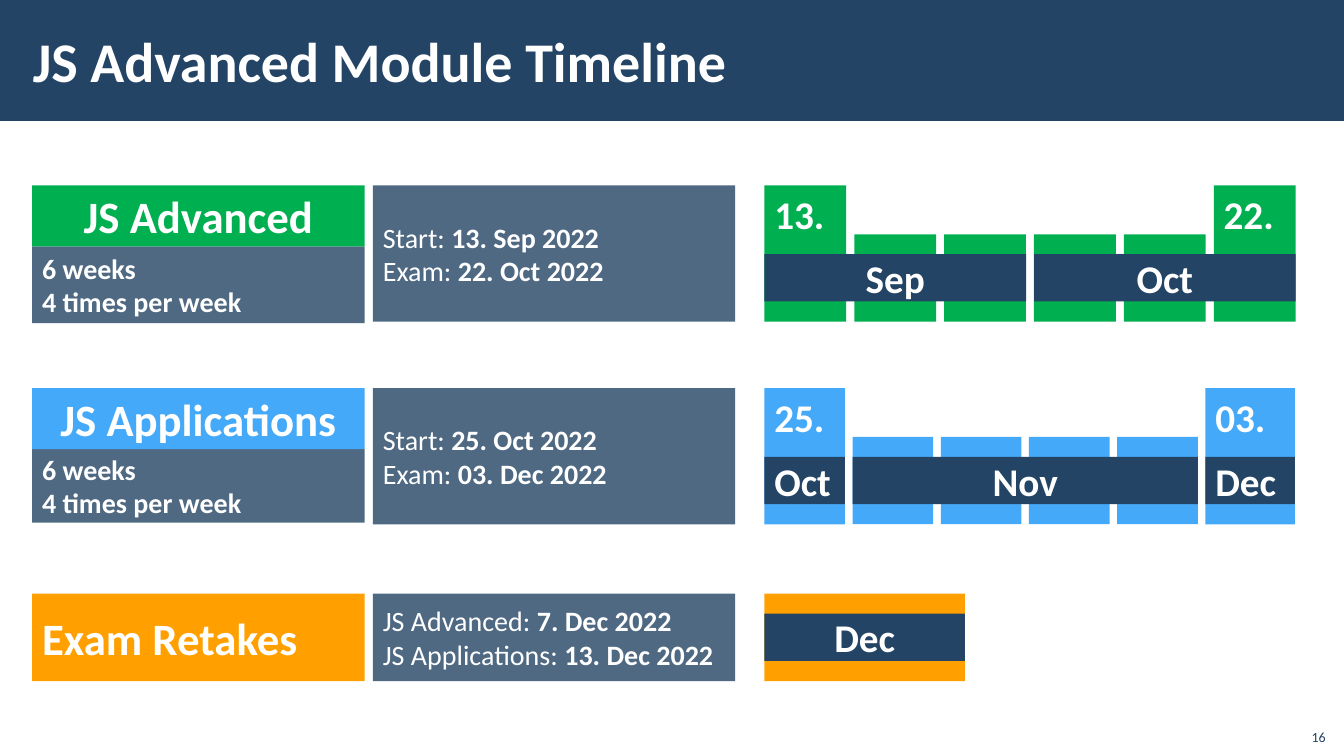
from pptx import Presentation
from pptx.dml.color import RGBColor
from pptx.enum.shapes import MSO_SHAPE as Shape
from pptx.enum.text import MSO_ANCHOR as Anchor, PP_ALIGN as Align
from pptx.oxml import parse_xml
from pptx.oxml.ns import nsdecls
from pptx.util import Pt

NAVY, WHITE, FONT = "234465", "FFFFFF", "Calibri"
TITLE, PAGE = "JS Advanced Module Timeline", "16"
DURATION = [[("6 weeks", True)], [("4 times per week", True)]]
MODULES = [
    dict(name="JS Advanced", color="00B050", top=132.5, label_height=54.7,
         start="13. Sep 2022", exam="22. Oct 2022", days=("13.", "22."),
         week=58.5, last_week=58.5, pitch=64.2,
         months=[("Sep", 0, 2, Align.CENTER), ("Oct", 3, 5, Align.CENTER)]),
    dict(name="JS Applications", color="44A9F8", top=277.2, label_height=52.6,
         start="25. Oct 2022", exam="03. Dec 2022", days=("25.", "03."),
         week=57.6, last_week=64, pitch=63,
         months=[("Oct", 0, 0, Align.LEFT), ("Nov", 1, 4, Align.CENTER),
                 ("Dec", 5, 5, Align.LEFT)]),
]
RETAKES = dict(name="Exam Retakes", color="FFA000", top=424.1, month="Dec", width=143.3,
               dates=[("JS Advanced: ", "7. Dec 2022"), ("JS Applications: ", "13. Dec 2022")])

NAME_LEFT, NAME_WIDTH, NAME_HEIGHT = 23, 237.6, 43.6
INFO_LEFT, INFO_WIDTH, ROW_HEIGHT = 266.4, 258.8, 97.3
TIMELINE_LEFT, WEEK_HEIGHT, BAND_INSET, BAND_HEIGHT = 546, 62.4, 14.2, 33.8
WEEKS = 6


def rgb(color):
    return RGBColor.from_string(color)


def write(shape, paragraphs, size=20, color=WHITE, align=Align.LEFT,
          anchor=Anchor.MIDDLE, margins=(7.2, 3.6)):
    """Fill a shape with paragraphs, each a list of (text, bold) runs."""
    frame = shape.text_frame
    frame.word_wrap = True
    frame.vertical_anchor = anchor
    frame.margin_left = frame.margin_right = Pt(margins[0])
    frame.margin_top = frame.margin_bottom = Pt(margins[1])
    for index, runs in enumerate(paragraphs):
        paragraph = frame.add_paragraph() if index else frame.paragraphs[0]
        paragraph.alignment = align
        for text, bold in runs:
            run = paragraph.add_run()
            run.text = text
            run.font.name, run.font.size, run.font.bold = FONT, Pt(size), bold
            run.font.color.rgb = rgb(color)


def add_box(left, top, width, height, color, opacity=100):
    shape = slide.shapes.add_shape(Shape.RECTANGLE, Pt(left), Pt(top), Pt(width), Pt(height))
    shape.shadow.inherit = False
    shape.line.fill.background()
    shape.fill.solid()
    shape.fill.fore_color.rgb = rgb(color)
    if opacity < 100:
        color_element = shape.fill._xPr.solidFill[0]
        color_element.append(parse_xml(f'<a:alpha {nsdecls("a")} val="{opacity * 1000}"/>'))
    return shape


def add_text(left, top, width, height, text, bold, **style):
    box = slide.shapes.add_textbox(Pt(left), Pt(top), Pt(width), Pt(height))
    write(box, [[(text, bold)]], **style)


def add_info(top, height, dates):
    info = add_box(INFO_LEFT, top, INFO_WIDTH, height, NAVY, opacity=80)
    write(info, [[(label, False), (date, True)] for label, date in dates])


def add_band(left, top, width, month, align):
    band = add_box(left, top, width, BAND_HEIGHT, NAVY)
    write(band, [[(month, True)]], size=28, align=align, margins=(7.2, 0))


def add_module(module):
    top, color = module["top"], module["color"]
    label = add_box(NAME_LEFT, top + NAME_HEIGHT, NAME_WIDTH, module["label_height"], NAVY, opacity=80)
    write(label, DURATION)
    name = add_box(NAME_LEFT, top, NAME_WIDTH, NAME_HEIGHT, color)
    write(name, [[(module["name"], True)]], size=32, align=Align.CENTER)
    add_info(top, ROW_HEIGHT, [("Start: ", module["start"]), ("Exam: ", module["exam"])])

    lefts = [TIMELINE_LEFT + week * module["pitch"] for week in range(WEEKS)]
    widths = [module["week"]] * (WEEKS - 1) + [module["last_week"]]
    days = dict(zip((0, WEEKS - 1), module["days"]))
    week_top = top + ROW_HEIGHT - WEEK_HEIGHT
    for week, (left, width) in enumerate(zip(lefts, widths)):
        if week in days:
            bar = add_box(left, top, width, ROW_HEIGHT, color)
            write(bar, [[(days[week], True)]], size=28, anchor=Anchor.TOP)
        else:
            add_box(left, week_top, width, WEEK_HEIGHT, color)
    for month, first, last, align in module["months"]:
        width = lefts[last] + widths[last] - lefts[first]
        add_band(lefts[first], week_top + BAND_INSET, width, month, align)


def add_retakes():
    top, color, width = RETAKES["top"], RETAKES["color"], RETAKES["width"]
    name = add_box(NAME_LEFT, top, NAME_WIDTH, WEEK_HEIGHT, color)
    write(name, [[(RETAKES["name"], True)]], size=32)
    add_info(top, WEEK_HEIGHT, RETAKES["dates"])
    add_box(TIMELINE_LEFT, top, width, WEEK_HEIGHT, color)
    add_band(TIMELINE_LEFT, top + BAND_INSET, width, RETAKES["month"], Align.CENTER)


presentation = Presentation()
presentation.slide_width, presentation.slide_height = Pt(960), Pt(540)
slide = presentation.slides.add_slide(presentation.slide_layouts[6])
add_box(0, 0, 960, 86.4, NAVY)
add_text(15, 8, 780, 70, TITLE, True, size=40, margins=(8.5, 2.8))
for module in MODULES:
    add_module(module)
add_retakes()
add_text(925, 512.6, 29, 23, PAGE, False, size=10, color=NAVY, align=Align.RIGHT, anchor=Anchor.BOTTOM)
presentation.save("out.pptx")
